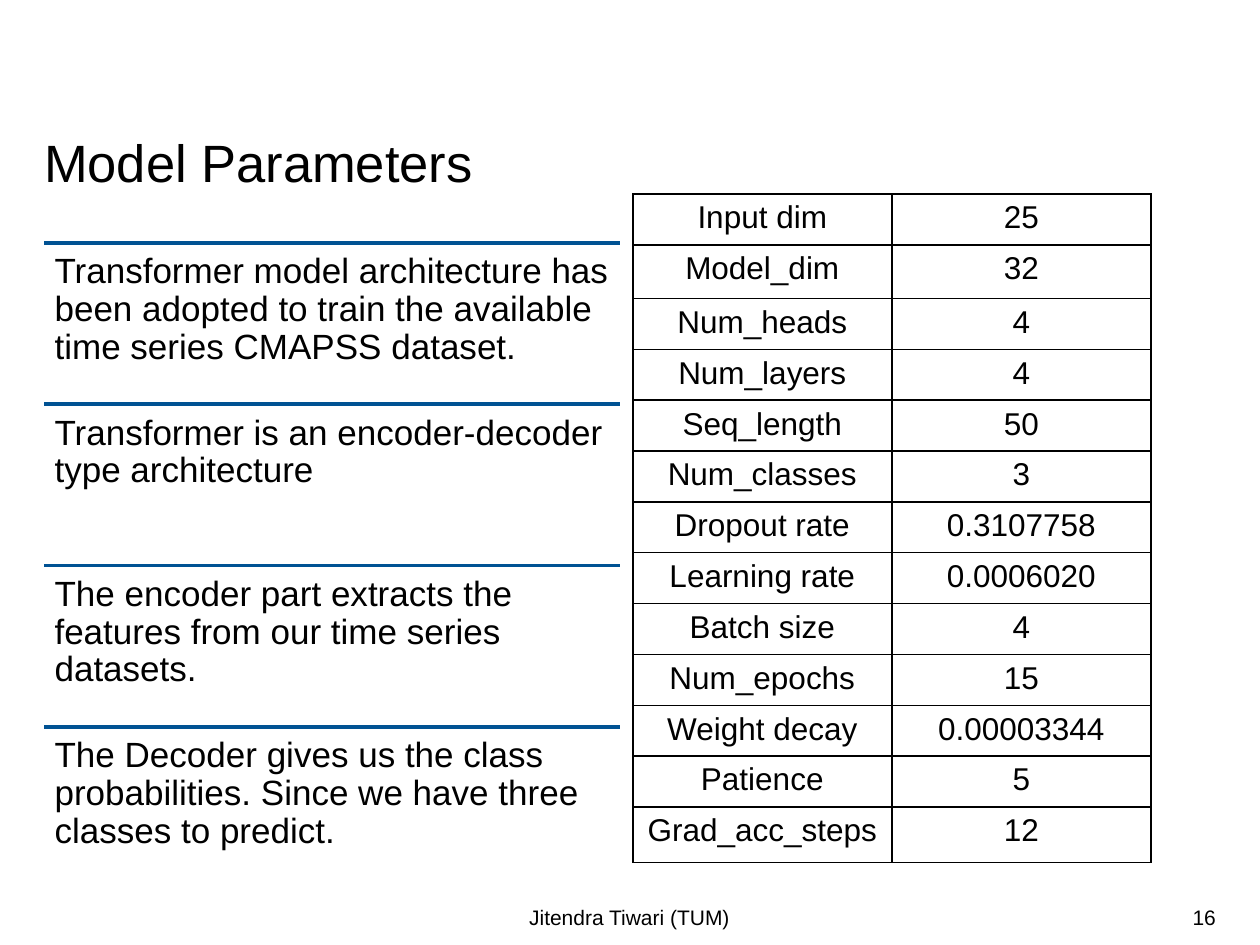
from pptx import Presentation
from pptx.dml.color import RGBColor
from pptx.enum.shapes import MSO_CONNECTOR
from pptx.enum.text import MSO_ANCHOR, PP_ALIGN
from pptx.oxml.ns import qn
from pptx.util import Pt
from lxml import etree

LEFT, CENTER, RIGHT = PP_ALIGN.LEFT, PP_ALIGN.CENTER, PP_ALIGN.RIGHT
TOP, MIDDLE = MSO_ANCHOR.TOP, MSO_ANCHOR.MIDDLE
STRAIGHT = MSO_CONNECTOR.STRAIGHT
FONT, BLACK, BLUE = "Arial", "000000", "005293"

STATEMENTS = [
    "Transformer model architecture has been adopted to train the available "
    "time series CMAPSS dataset.",
    "Transformer is an encoder-decoder type architecture",
    "The encoder part extracts the features from our time series datasets.",
    "The Decoder gives us the class probabilities. Since we have three "
    "classes to predict.",
]
PARAMETERS = [
    ("Input dim", "25"),
    ("Model_dim", "32"),
    ("Num_heads", "4"),
    ("Num_layers", "4"),
    ("Seq_length", "50"),
    ("Num_classes", "3"),
    ("Dropout rate", "0.3107758"),
    ("Learning rate", "0.0006020"),
    ("Batch size", "4"),
    ("Num_epochs", "15"),
    ("Weight decay", "0.00003344"),
    ("Patience", "5"),
    ("Grad_acc_steps", "12"),
]
ROW_HEIGHT = 29.06
TALLER_ROWS = {1: 30.7, 12: 31.9}


def rgb(color):
    return RGBColor.from_string(color)


def write(tf, text, size=18, align=LEFT, spacing=None, after=None):
    p = tf.paragraphs[0]
    p.alignment = align
    if spacing is not None:
        p.line_spacing = spacing
    if after is not None:
        p.space_after = Pt(after)
    r = p.add_run()
    r.text = text
    r.font.name, r.font.size = FONT, Pt(size)
    r.font.color.rgb = rgb(BLACK)


def add_text(s, box, text, inset=(0, 0), anchor=TOP, **fmt):
    """Add a text box; inset is (horizontal, vertical)."""
    tf = s.shapes.add_textbox(*map(Pt, box)).text_frame
    tf.word_wrap = True
    tf.vertical_anchor = anchor
    tf.margin_left = tf.margin_right = Pt(inset[0])
    tf.margin_top = tf.margin_bottom = Pt(inset[1])
    write(tf, text, **fmt)


def add_rule(s, x, y, width):
    line = s.shapes.add_connector(STRAIGHT, Pt(x), Pt(y), Pt(x + width), Pt(y))
    line.line.color.rgb = rgb(BLUE)
    line.line.width = Pt(2)
    etree.SubElement(line._element.spPr, qn("a:effectLst"))


def add_statements(s, box):
    x, y, width, height = box
    step = height / len(STATEMENTS)
    for i, text in enumerate(STATEMENTS):
        top = y + i * step
        add_rule(s, x, top, width)
        add_text(s, (x, top, width, step), text, inset=(6, 6),
                 size=20, spacing=0.9, after=7)


def set_borders(cell, color, width):
    tcPr = cell._tc.get_or_add_tcPr()
    for i, side in enumerate(("lnL", "lnR", "lnT", "lnB")):
        ln = etree.Element(qn(f"a:{side}"), w=str(Pt(width)))
        fill = etree.SubElement(ln, qn("a:solidFill"))
        etree.SubElement(fill, qn("a:srgbClr"), val=color)
        tcPr.insert(i, ln)


def add_parameters(s, box):
    table = s.shapes.add_table(len(PARAMETERS), 2, *map(Pt, box)).table
    table.first_row = table.horz_banding = False
    for i, values in enumerate(PARAMETERS):
        table.rows[i].height = Pt(TALLER_ROWS.get(i, ROW_HEIGHT))
        for j, value in enumerate(values):
            cell = table.cell(i, j)
            cell.fill.background()
            set_borders(cell, BLACK, 1)
            write(cell.text_frame, value, align=CENTER)


def add_footer(s, box):
    fmt = dict(inset=(0, 3.6), anchor=MIDDLE, size=12, after=6)
    add_text(s, box, "Jitendra Tiwari (TUM)", align=CENTER, **fmt)
    x, y, width, height = box
    number_width = 161
    add_text(s, (x + width - number_width, y, number_width, height), "16",
             align=RIGHT, **fmt)


def main():
    prs = Presentation()
    prs.slide_width, prs.slide_height = Pt(720), Pt(540)
    s = prs.slides.add_slide(prs.slide_layouts[6])
    add_text(s, (25.2, 78.5, 670, 32.4), "Model Parameters",
             size=30, spacing=Pt(32))
    add_statements(s, (25.2, 138.8, 329, 368.8))
    add_parameters(s, (361.6, 110.8, 296, 382.3))
    add_footer(s, (24.6, 509.8, 670.2, 28.8))
    prs.save("out.pptx")


if __name__ == "__main__":
    main()
